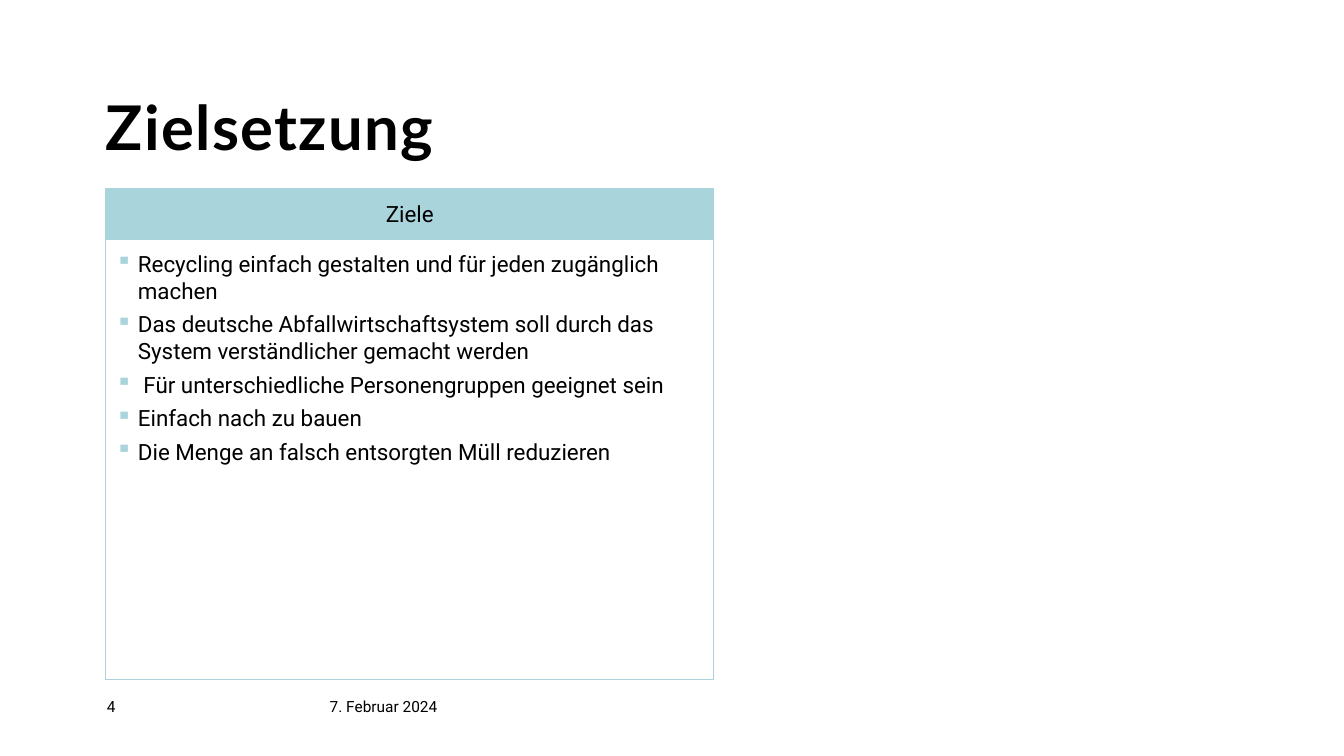
import pptx
import pptx.dml.color
import pptx.enum.shapes
import pptx.enum.text
import pptx.util
from lxml import etree
from pptx.oxml.ns import qn

Inches = pptx.util.Inches
Pt = pptx.util.Pt
RGBColor = pptx.dml.color.RGBColor
ANCHOR = pptx.enum.text.MSO_ANCHOR
ALIGN = pptx.enum.text.PP_ALIGN

BLACK = RGBColor(0x00, 0x00, 0x00)
WHITE = RGBColor(0xFF, 0xFF, 0xFF)
AQUA = RGBColor(0xA9, 0xD4, 0xDB)

TITLE = "Zielsetzung"
GOALS_HEADING = "Ziele"
GOALS = [
    "Recycling einfach gestalten und für jeden zugänglich machen",
    "Das deutsche Abfallwirtschaftsystem soll durch das System verständlicher gemacht werden",
    " Für unterschiedliche Personengruppen geeignet sein",
    "Einfach nach zu bauen",
    "Die Menge an falsch entsorgten Müll reduzieren",
]
FOOTER = [
    ("4", 1.06, 0.57),
    ("7. Februar 2024", 3.27, 1.44),
]

LEFT = 1.05
PANEL_WIDTH = 6.03
HEADING_TOP, HEADING_HEIGHT = 1.87, 0.5
GOALS_TOP, GOALS_HEIGHT = 2.38, 4.36
FOOTER_TOP, FOOTER_HEIGHT = 6.92, 0.27
BULLET_INDENT = 0.22


def add_run(paragraph, text, size, font="Roboto", bold=False):
    run = paragraph.add_run()
    run.text = text
    run.font.size = Pt(size)
    run.font.name = font
    run.font.bold = bold
    run.font.color.rgb = BLACK
    return run


def set_frame(frame, anchor, side=0, end=0):
    frame.word_wrap = True
    frame.auto_size = pptx.enum.text.MSO_AUTO_SIZE.NONE
    frame.vertical_anchor = anchor
    frame.margin_left = frame.margin_right = Inches(side)
    frame.margin_top = frame.margin_bottom = Inches(end)


def add_panel(slide, top, height, fill, anchor, end):
    panel = slide.shapes.add_shape(
        pptx.enum.shapes.MSO_SHAPE.RECTANGLE,
        Inches(LEFT), Inches(top), Inches(PANEL_WIDTH), Inches(height))
    panel.shadow.inherit = False
    panel.fill.solid()
    panel.fill.fore_color.rgb = fill
    panel.line.color.rgb = AQUA
    panel.line.width = Pt(0.75)
    set_frame(panel.text_frame, anchor, 0.1, end)
    return panel.text_frame


def add_bullet(paragraph):
    properties = paragraph._p.get_or_add_pPr()
    properties.set("marL", str(Inches(BULLET_INDENT)))
    properties.set("indent", str(-Inches(BULLET_INDENT)))
    colour = etree.SubElement(properties, qn("a:buClr"))
    etree.SubElement(colour, qn("a:srgbClr")).set("val", str(AQUA))
    etree.SubElement(properties, qn("a:buChar")).set("char", "▪")


def main():
    deck = pptx.Presentation()
    deck.slide_width, deck.slide_height = Inches(13.33), Inches(7.5)
    slide = deck.slides.add_slide(deck.slide_layouts[5])

    title = slide.shapes.title
    title.left, title.top = Inches(LEFT), Inches(0.96)
    title.width, title.height = Inches(5.4), Inches(0.67)
    set_frame(title.text_frame, ANCHOR.BOTTOM)
    heading = title.text_frame.paragraphs[0]
    heading.alignment = ALIGN.LEFT
    heading.line_spacing = 0.9
    title_run = add_run(heading, TITLE, 44, "Lato", True)
    title_run.font._element.set("spc", "100")

    goals = add_panel(slide, GOALS_TOP, GOALS_HEIGHT, WHITE, ANCHOR.TOP, 0.1)
    for index, goal in enumerate(GOALS):
        paragraph = goals.add_paragraph() if index else goals.paragraphs[0]
        paragraph.level = 1
        paragraph.alignment = ALIGN.LEFT
        paragraph.space_before = Pt(4.8 if index else 0)
        add_bullet(paragraph)
        add_run(paragraph, goal, 16)

    goals_heading = add_panel(
        slide, HEADING_TOP, HEADING_HEIGHT, AQUA, ANCHOR.MIDDLE, 0.05).paragraphs[0]
    goals_heading.alignment = ALIGN.CENTER
    add_run(goals_heading, GOALS_HEADING, 16)

    for text, left, width in FOOTER:
        footer = slide.shapes.add_textbox(
            Inches(left), Inches(FOOTER_TOP), Inches(width), Inches(FOOTER_HEIGHT))
        set_frame(footer.text_frame, ANCHOR.TOP)
        add_run(footer.text_frame.paragraphs[0], text, 11)

    deck.save("out.pptx")


if __name__ == "__main__":
    main()
